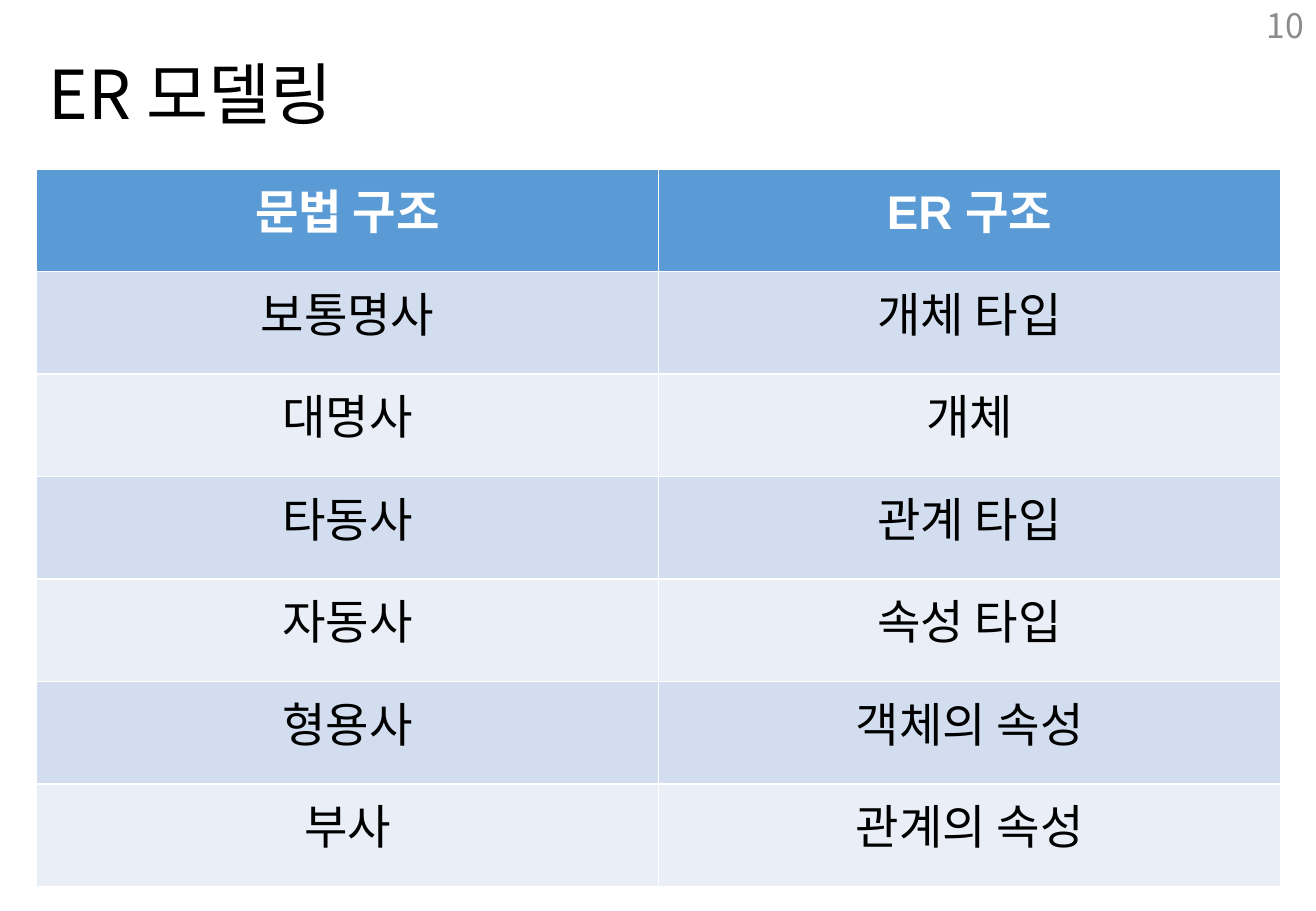
from pptx import Presentation
from pptx.dml.color import RGBColor
from pptx.enum.text import MSO_ANCHOR, PP_ALIGN
from pptx.oxml.ns import qn
from pptx.util import Inches, Pt
from lxml.etree import SubElement

BLACK = RGBColor(0x00, 0x00, 0x00)
WHITE = RGBColor(0xFF, 0xFF, 0xFF)
GRAY = RGBColor(0x8C, 0x8C, 0x8C)
HEADER_BLUE = RGBColor(0x5B, 0x9B, 0xD5)
BAND_DARK = RGBColor(0xD2, 0xDE, 0xEF)
BAND_LIGHT = RGBColor(0xEA, 0xEF, 0xF7)

KOREAN_FONT = "Noto Sans CJK KR"
TABLE_FONT = "Arial"

SLIDE_WIDTH, SLIDE_HEIGHT = Inches(10.83), Inches(7.5)
MARGIN = Inches(0.3)
CONTENT_WIDTH = Inches(10.24)

GRAMMAR_TO_ER = [
    ("문법 구조", "ER 구조"),
    ("보통명사", "개체 타입"),
    ("대명사", "개체"),
    ("타동사", "관계 타입"),
    ("자동사", "속성 타입"),
    ("형용사", "객체의 속성"),
    ("부사", "관계의 속성"),
]


def style_paragraph(paragraph, size, color, align, latin=KOREAN_FONT, bold=False, spacing=0):
    paragraph.alignment = align
    paragraph.space_before = paragraph.space_after = Pt(spacing)
    font = paragraph.font
    font.size, font.bold, font.name = Pt(size), bold, latin
    font.color.rgb = color
    defaults = paragraph._p.pPr.find(qn("a:defRPr"))
    SubElement(defaults, qn("a:ea")).set("typeface", KOREAN_FONT)


def place_title(slide, left, top, width, height):
    title = slide.shapes.title
    title.left, title.top, title.width, title.height = left, top, width, height
    title.text_frame.text = "ER 모델링"
    title.text_frame.vertical_anchor = MSO_ANCHOR.MIDDLE
    style_paragraph(title.text_frame.paragraphs[0], 40, BLACK, PP_ALIGN.LEFT, spacing=6)


def add_page_number(slide, left, top, width, height):
    page_number = slide.shapes.add_textbox(left, top, width, height).text_frame
    page_number.word_wrap = True
    page_number.vertical_anchor = MSO_ANCHOR.MIDDLE
    page_number.text = "10"
    style_paragraph(page_number.paragraphs[0], 20, GRAY, PP_ALIGN.RIGHT, spacing=6)


def add_mapping_table(slide, left, top, width, height):
    mapping = slide.shapes.add_table(
        len(GRAMMAR_TO_ER), len(GRAMMAR_TO_ER[0]), left, top, width, height
    ).table
    for row, terms in enumerate(GRAMMAR_TO_ER):
        is_header = row == 0
        band = HEADER_BLUE if is_header else (BAND_LIGHT, BAND_DARK)[row % 2]
        for column, term in enumerate(terms):
            cell = mapping.cell(row, column)
            cell.text = term
            cell.fill.solid()
            cell.fill.fore_color.rgb = band
            style_paragraph(
                cell.text_frame.paragraphs[0], 28, WHITE if is_header else BLACK,
                PP_ALIGN.CENTER, latin=TABLE_FONT, bold=is_header,
            )


def main():
    presentation = Presentation()
    presentation.slide_width, presentation.slide_height = SLIDE_WIDTH, SLIDE_HEIGHT
    title_only = presentation.slide_layouts[5]
    slide = presentation.slides.add_slide(title_only)
    place_title(slide, MARGIN, Inches(0.21), CONTENT_WIDTH, Inches(1.1))
    add_mapping_table(slide, MARGIN, Inches(1.39), CONTENT_WIDTH, Inches(5.91))
    number_width = Inches(2.44)
    add_page_number(slide, SLIDE_WIDTH - number_width, Inches(0.01), number_width, Inches(0.4))
    presentation.save("out.pptx")


if __name__ == "__main__":
    main()
